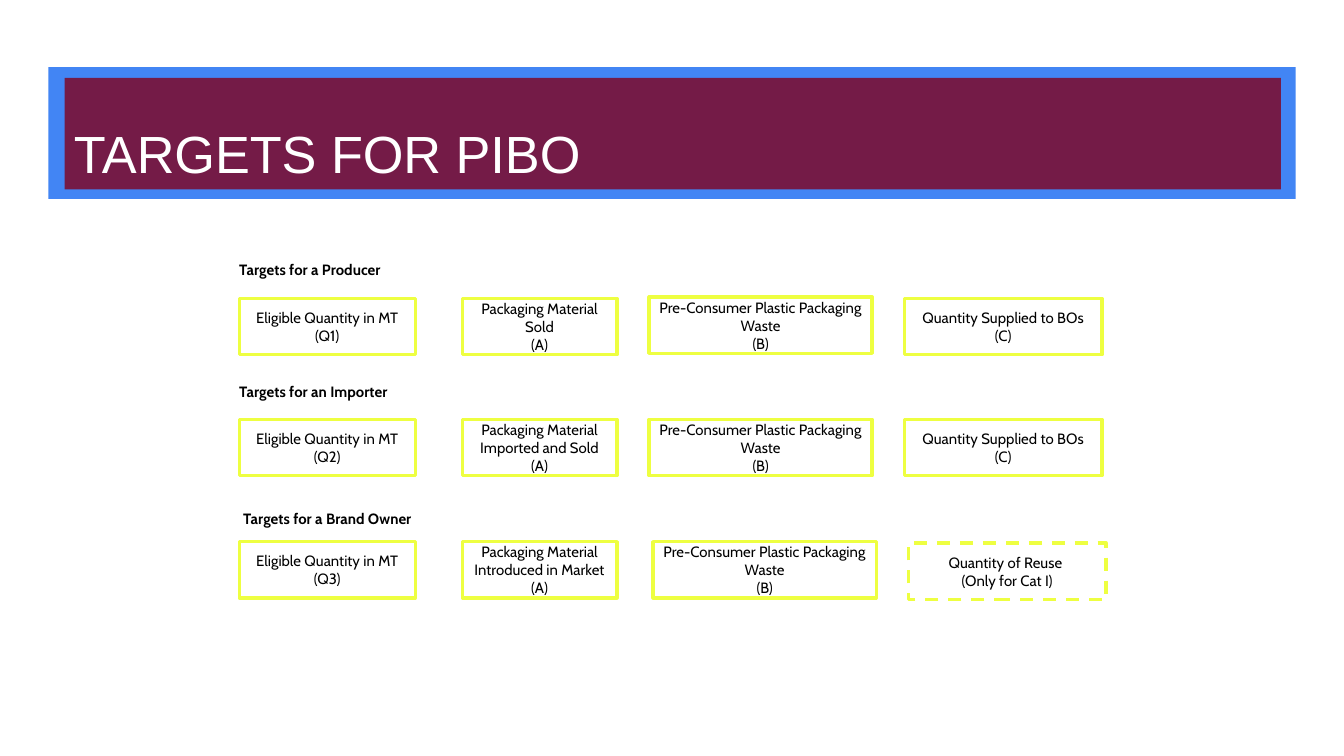
from dataclasses import dataclass

from pptx import Presentation
from pptx.dml.color import RGBColor
from pptx.enum.dml import MSO_LINE
from pptx.enum.shapes import MSO_SHAPE
from pptx.enum.text import MSO_ANCHOR, MSO_AUTO_SIZE, PP_ALIGN
from pptx.util import Inches, Pt

RECT = MSO_SHAPE.RECTANGLE
DASH = MSO_LINE.DASH
LEFT, CENTER = PP_ALIGN.LEFT, PP_ALIGN.CENTER
TOP, MIDDLE, BOTTOM = MSO_ANCHOR.TOP, MSO_ANCHOR.MIDDLE, MSO_ANCHOR.BOTTOM
GROW = MSO_AUTO_SIZE.SHAPE_TO_FIT_TEXT


@dataclass(frozen=True)
class Theme:
    frame: str = "4285F4"
    banner: str = "741B47"
    outline: str = "EEFF41"
    white: str = "FFFFFF"
    black: str = "000000"
    title_font: str = "Arial"
    body_font: str = "Cabin"
    title_size: float = 28
    body_size: float = 8
    line_width: float = 1.75


NARROW, WIDE = (0.06, 0.03), (0.07, 0.04)  # side and top margins


def write_text(shape, text, *, font, size, color, bold=False, align=LEFT,
               anchor=TOP, margins=NARROW):
    """Fill a shape: a newline starts a paragraph, a vertical tab a line."""
    tf = shape.text_frame
    tf.word_wrap = True
    tf.vertical_anchor = anchor
    tf.margin_left = tf.margin_right = Inches(margins[0])
    tf.margin_top = tf.margin_bottom = Inches(margins[1])
    tf.text = text
    for p in tf.paragraphs:
        p.alignment = align
        for r in p.runs:
            r.font.name = font
            r.font.size = Pt(size)
            r.font.bold = bold
            r.font.color.rgb = RGBColor.from_string(color)


class SlideBuilder:
    def __init__(self, slide, theme):
        self.slide = slide
        self.theme = theme

    def rect(self, x, y, w, h, fill):
        sp = self.slide.shapes.add_shape(
            RECT, Inches(x), Inches(y), Inches(w), Inches(h))
        sp.shadow.inherit = False
        sp.fill.solid()
        sp.fill.fore_color.rgb = RGBColor.from_string(fill)
        sp.line.fill.background()
        return sp

    def title(self, text):
        t = self.theme
        self.rect(0.36, 0.5, 9.28, 0.98, t.frame)
        banner = self.rect(0.48, 0.58, 9.05, 0.83, t.banner)
        write_text(banner, text, font=t.title_font, size=t.title_size,
                   color=t.white, anchor=BOTTOM, margins=WIDE)

    def heading(self, x, y, text):
        t = self.theme
        box = self.slide.shapes.add_textbox(
            Inches(x), Inches(y), Inches(1.69), Inches(0.19))
        write_text(box, text, font=t.body_font, size=t.body_size,
                   color=t.black, bold=True)
        box.text_frame.auto_size = GROW

    def target_box(self, x, y, w, text, dashed=False):
        t = self.theme
        sp = self.rect(x, y, w, 0.42, t.white)
        sp.line.color.rgb = RGBColor.from_string(t.outline)
        sp.line.width = Pt(t.line_width)
        if dashed:
            sp.line.dash_style = DASH
        write_text(sp, text, font=t.body_font, size=t.body_size,
                   color=t.black, align=CENTER, anchor=MIDDLE,
                   margins=WIDE if dashed else NARROW)


WASTE = "Pre-Consumer Plastic Packaging Waste\n(B)"
REUSE = "Quantity of Reuse \n(Only for Cat I)"

# Width of each column, in reading order
WIDTHS = [1.31, 1.15, 1.66, 1.47]

# Heading with its left and top, then left, top and text of each box
ROWS = [
    ("Targets for a Producer", 1.72, 1.91, [
        (1.78, 2.22, "Eligible Quantity in MT (Q1)"),
        (3.44, 2.22, "Packaging Material Sold\n(A)"),
        (4.83, 2.21, WASTE),
        (6.73, 2.22, "Quantity Supplied to BOs\n(C)")]),
    ("Targets for an Importer", 1.72, 2.82, [
        (1.78, 3.12, "Eligible Quantity in MT (Q2)"),
        (3.44, 3.12, "Packaging Material Imported and Sold\n(A)"),
        (4.83, 3.12, WASTE),
        (6.73, 3.12, "Quantity Supplied to BOs\v(C)")]),
    ("Targets for a Brand Owner", 1.75, 3.76, [
        (1.78, 4.03, "Eligible Quantity in MT (Q3)"),
        (3.44, 4.03, "Packaging Material Introduced in Market\n(A)"),
        (4.86, 4.03, WASTE),
        (6.76, 4.04, REUSE)]),
]


def main():
    prs = Presentation()
    # 16:9 page
    prs.slide_width = Inches(10)
    prs.slide_height = Inches(10 * 9 / 16)
    s = SlideBuilder(prs.slides.add_slide(prs.slide_layouts[6]), Theme())

    s.title("TARGETS FOR PIBO")
    for heading, heading_x, heading_y, boxes in ROWS:
        s.heading(heading_x, heading_y, heading)
        for w, (x, y, text) in zip(WIDTHS, boxes):
            s.target_box(x, y, w, text, dashed=text == REUSE)

    prs.save("out.pptx")


if __name__ == "__main__":
    main()
